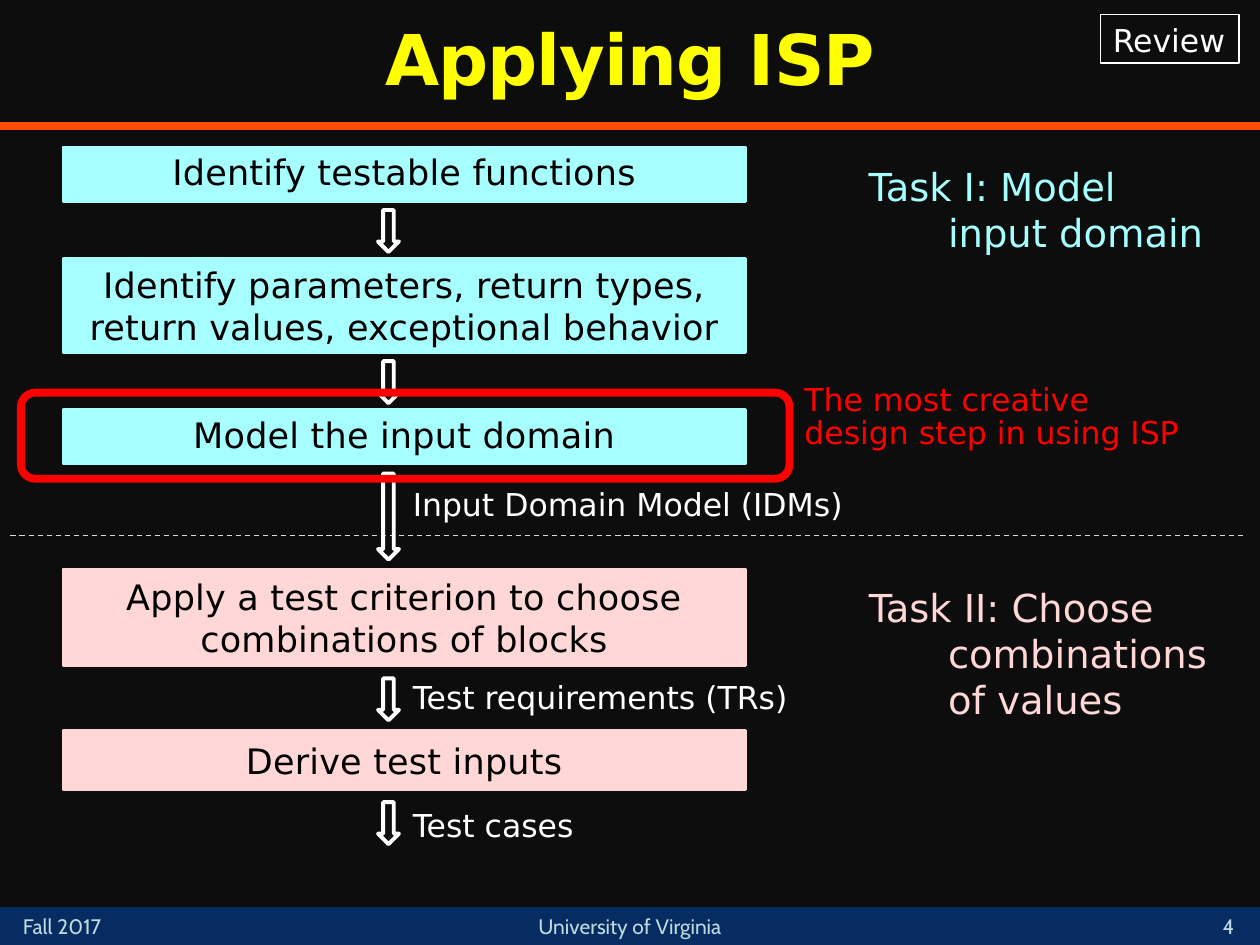
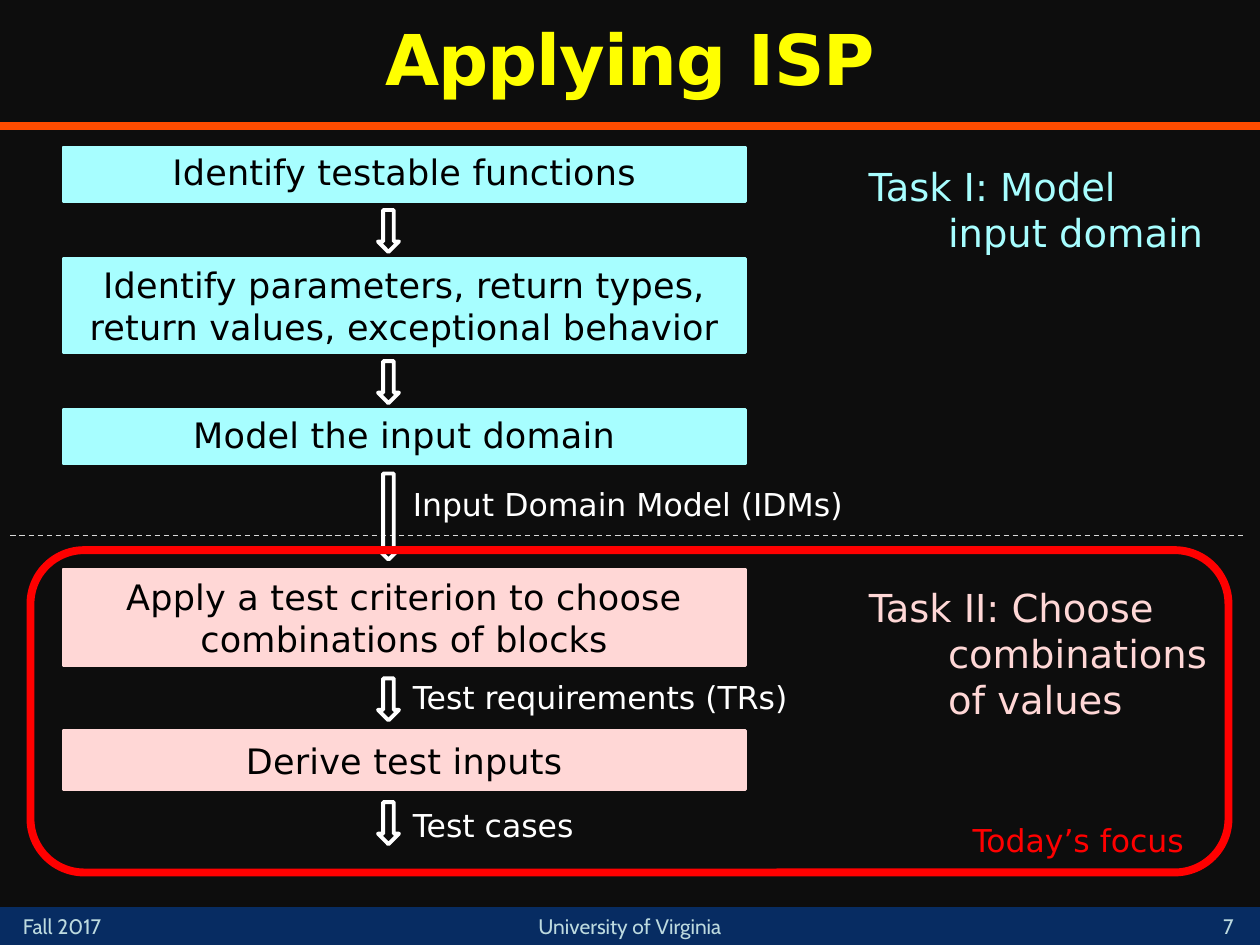
from dataclasses import dataclass

from lxml.etree import SubElement
from pptx import Presentation
from pptx.dml.color import RGBColor
from pptx.enum.dml import MSO_LINE
from pptx.enum.shapes import MSO_CONNECTOR, MSO_SHAPE
from pptx.enum.text import MSO_ANCHOR, PP_ALIGN
from pptx.oxml.ns import qn
from pptx.util import Inches, Pt

COLS, ROWS = 120, 90  # grid of twelfths of an inch
CELL = Inches(10) / COLS

BACKGROUND, BAND, RULE, FOOTER = "0D0D0D", "072C62", "FF4C00", "BDDADF"
YELLOW, WHITE, GREY, BLACK, RED = "FFFF00", "FFFFFF", "D9D9D9", "000000", "FF0000"
CYAN, PINK = "A7FEFF", "FFD7D6"
BODY_FONT, FOOTER_FONT = "DejaVu Sans", "Cabin"

STEP_LEFT, STEP_WIDTH = 6, 65
ARROW_LEFT, ARROW_WIDTH = 36, 2
LABEL_LEFT, LABEL_WIDTH, LABEL_HEIGHT = 36.7, 54, 4.8


@dataclass
class Step:
    text: str
    top: float
    height: float
    color: str
    gap: float = 0.8  # rows between the box and its arrow
    arrow: float = 4
    spacing: float = 1
    output: str = ""
    output_top: float = 0


STEPS = [
    Step("Identify testable functions", 14, 5.2, CYAN, spacing=0.9),
    Step("Identify parameters, return types, return values, exceptional behavior",
         24.6, 9, CYAN),
    Step("Model the input domain", 39, 5.2, CYAN, gap=0.9, arrow=8.2, spacing=0.9,
         output="Input Domain Model (IDMs)", output_top=45.6),
    Step("Apply a test criterion to choose combinations of blocks", 54.2, 9.2, PINK,
         gap=1.2, output="Test requirements (TRs)", output_top=64),
    Step("Derive test inputs", 69.6, 5.6, PINK, gap=1.2,
         output="Test cases", output_top=76.2),
]


def rgb(color):
    return RGBColor.from_string(color)


def grid(*cells):
    return [round(c * CELL) for c in cells]


def write(sp, text, size, color, font=BODY_FONT, align=PP_ALIGN.LEFT,
          anchor=MSO_ANCHOR.TOP, bold=False, spacing=None, tracking=None,
          margin=0, indent=0, wrap=True):
    """Fill a shape with one paragraph; margin and indent are in inches."""
    tf = sp.text_frame
    tf.word_wrap = wrap
    tf.vertical_anchor = anchor
    p = tf.paragraphs[0]
    p.text = text
    p.alignment = align
    if spacing:
        p.line_spacing = spacing
    p.font.name, p.font.size, p.font.bold = font, Pt(size), bold
    p.font.color.rgb = rgb(color)
    pPr = p._p.get_or_add_pPr()
    pPr.set("marL", str(Inches(margin)))
    pPr.set("indent", str(Inches(indent)))
    if tracking:
        pPr.find(qn("a:defRPr")).set("spc", str(tracking))


def add_text(slide, at, text, size, color, **style):
    write(slide.shapes.add_textbox(*grid(*at)), text, size, color, **style)


def add_shape(slide, kind, at, fill=None, line=None, width=1.5):
    sp = slide.shapes.add_shape(kind, *grid(*at))
    sp.shadow.inherit = False
    if fill:
        sp.fill.solid()
        sp.fill.fore_color.rgb = rgb(fill)
    else:
        sp.fill.background()
    if line:
        sp.line.color.rgb = rgb(line)
        sp.line.width = Pt(width)
    else:
        sp.line.fill.background()
    return sp


def add_rule(slide, left, right, y, color, width, dash=None):
    line = slide.shapes.add_connector(MSO_CONNECTOR.STRAIGHT, *grid(left, y, right, y))
    line.line.color.rgb = rgb(color)
    line.line.width = Pt(width)
    if dash:
        line.line.dash_style = dash
    SubElement(line._element.spPr, qn("a:effectLst"))


def add_frame(slide, title, number):
    """Background, footer band, title rule and title."""
    slide.background.fill.solid()
    slide.background.fill.fore_color.rgb = rgb(BACKGROUND)
    add_shape(slide, MSO_SHAPE.RECTANGLE, (0, 86.4, COLS, 3.6), BAND)
    add_rule(slide, 0, COLS, 12, RULE, 4.5)
    footers = [
        ((1, 86.4, 14, 3.6), "Fall 2017", PP_ALIGN.LEFT, MSO_ANCHOR.TOP),
        ((44, 86.4, 32, 3.6), "University of Virginia", PP_ALIGN.CENTER, MSO_ANCHOR.TOP),
        ((114, 86, 6, 4), str(number), PP_ALIGN.CENTER, MSO_ANCHOR.BOTTOM),
    ]
    for at, text, align, anchor in footers:
        add_text(slide, at, text, 12, FOOTER, font=FOOTER_FONT, align=align, anchor=anchor)
    add_text(slide, (0, 0, COLS, 12), title, 40, YELLOW, align=PP_ALIGN.CENTER,
             anchor=MSO_ANCHOR.MIDDLE, bold=True, spacing=0.9, tracking=-50)


def add_step(slide, step):
    """A box, the arrow below it and the name of what the step hands on."""
    box = add_shape(slide, MSO_SHAPE.RECTANGLE,
                    (STEP_LEFT, step.top, STEP_WIDTH, step.height), step.color, step.color)
    write(box, step.text, 20, BLACK, align=PP_ALIGN.CENTER, anchor=MSO_ANCHOR.MIDDLE,
          spacing=step.spacing, tracking=10)
    arrow_top = step.top + step.height + step.gap
    add_shape(slide, MSO_SHAPE.DOWN_ARROW,
              (ARROW_LEFT, arrow_top, ARROW_WIDTH, step.arrow), line=WHITE, width=2.25)
    if step.output:
        add_text(slide, (LABEL_LEFT, step.output_top, LABEL_WIDTH, LABEL_HEIGHT),
                 step.output, 18, WHITE, margin=0.12)


def add_task(slide, at, text, color):
    add_text(slide, at, text, 22, color, margin=0.76, indent=-0.63)


def add_process(slide):
    add_task(slide, (80, 14.9, 37, 10), "Task I: Model\vinput domain", CYAN)
    add_task(slide, (80, 55, 38, 14.5), "Task II: Choose combinations of values", PINK)
    add_rule(slide, 1, 118.4, 51, GREY, 0.75, MSO_LINE.DASH)
    for step in STEPS:
        add_step(slide, step)


def add_highlight(slide, at, note_at, note):
    add_shape(slide, MSO_SHAPE.ROUNDED_RECTANGLE, at, line=RED, width=4.5)
    add_text(slide, note_at, note, 18, RED, spacing=Pt(19), margin=0.12)


def add_review_tag(slide):
    tag = add_shape(slide, MSO_SHAPE.RECTANGLE, (104.8, 1.4, 13.2, 4.6),
                    line=WHITE, width=0.75)
    write(tag, "Review", 18, WHITE, wrap=False)


def add_process_slide(prs, number):
    slide = prs.slides.add_slide(prs.slide_layouts[6])
    add_frame(slide, "Applying ISP", number)
    add_process(slide)
    return slide


def main():
    prs = Presentation()
    prs.slide_width, prs.slide_height = grid(COLS, ROWS)

    slide = add_process_slide(prs, 4)
    add_highlight(slide, (2, 37.4, 73.2, 8.2), (74, 36, 41, 7.6),
                  "The most creative design step in using ISP")
    add_review_tag(slide)

    slide = add_process_slide(prs, 7)
    add_highlight(slide, (2.9, 52.4, 114.1, 30.7), (90, 78, 26, 4.4), "Today’s focus")

    prs.save("out.pptx")


if __name__ == "__main__":
    main()
